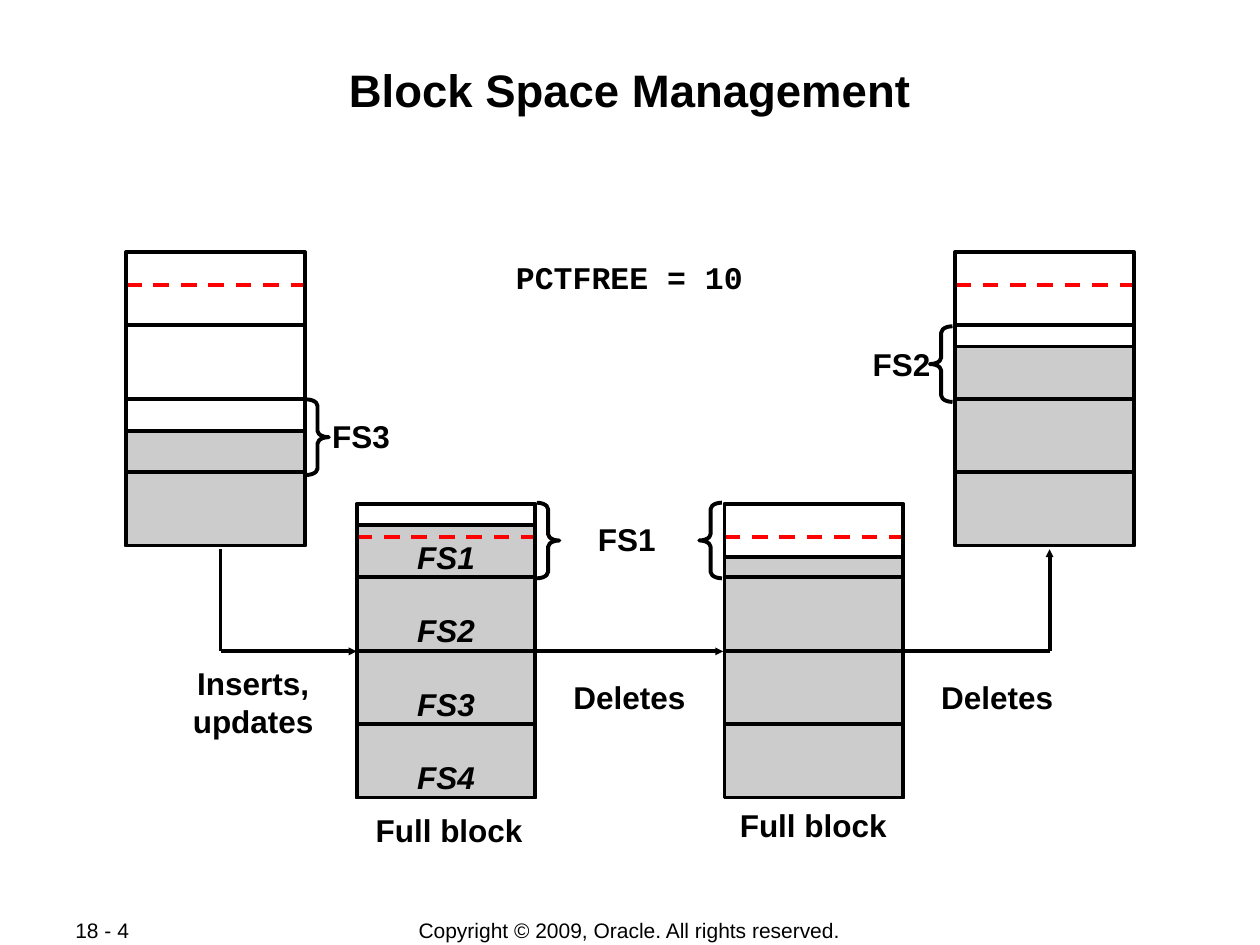
from dataclasses import dataclass

from lxml import etree
from pptx import Presentation
from pptx.dml.color import RGBColor
from pptx.enum.dml import MSO_LINE_DASH_STYLE as DASH
from pptx.enum.shapes import MSO_CONNECTOR as CONNECTOR, MSO_SHAPE as SHAPE
from pptx.enum.text import MSO_ANCHOR as ANCHOR, MSO_AUTO_SIZE as AUTO_SIZE, PP_ALIGN as ALIGN
from pptx.oxml.ns import qn
from pptx.util import Inches, Pt


@dataclass(frozen=True)
class Theme:
    ink: RGBColor = RGBColor(0x00, 0x00, 0x00)
    used: RGBColor = RGBColor(0xCC, 0xCC, 0xCC)
    limit: RGBColor = RGBColor(0xFF, 0x00, 0x00)
    font: str = "Arial"
    code_font: str = "Courier New"
    title_size: int = 26
    label_size: int = 18
    footer_size: int = 12
    line_width: float = 2.25


THEME = Theme()

BLOCK_W, BLOCK_H = 1.42, 2.33
BANDS = 4
BAND_H = BLOCK_H / BANDS
LIMIT_DROP = 0.26  # distance of the PCTFREE line below the block top
BRACE_W, BRACE_H = 0.18, 0.6
LABEL_H = 0.4
FLOW_Y = 5.17

# left, top, top of the used space
BLOCKS = [(1, 2, 3.42), (2.83, 4, 4.17), (5.75, 4, 4.42), (7.58, 2, 2.75)]

# x1, y1, x2, y2, arrowhead
FLOWS = [
    (1.75, 4.36, 1.75, FLOW_Y, False),
    (1.75, FLOW_Y, 2.83, FLOW_Y, True),
    (4.24, FLOW_Y, 5.74, FLOW_Y, True),
    (7.08, FLOW_Y, 8.33, FLOW_Y, False),
    (8.33, FLOW_Y, 8.33, 4.36, True),
]

BRACES = [
    (SHAPE.RIGHT_BRACE, 2.43, 3.17),
    (SHAPE.RIGHT_BRACE, 4.26, 3.99),
    (SHAPE.LEFT_BRACE, 5.55, 3.99),
    (SHAPE.LEFT_BRACE, 7.38, 2.59),
]

# text, left, top, width
LABELS = [
    ("Deletes", 4.33, 5.33, 1.33),
    ("Deletes", 7.25, 5.33, 1.33),
    ("Full block", 2.76, 6.39, 1.61),
    ("Full block", 5.65, 6.35, 1.61),
    ("FS3", 2.49, 3.26, 0.75),
    ("FS1", 4.6, 4.08, 0.75),
    ("FS2", 6.78, 2.69, 0.75),
]


def add_text(s, text, left, top, width, height=LABEL_H, size=THEME.label_size,
             font=THEME.font, bold=True, italic=False, align=ALIGN.CENTER,
             anchor=ANCHOR.TOP, wrap=True, grow=True):
    box = s.shapes.add_textbox(Inches(left), Inches(top), Inches(width), Inches(height))
    tf = box.text_frame
    tf.word_wrap = wrap
    tf.vertical_anchor = anchor
    tf.auto_size = AUTO_SIZE.SHAPE_TO_FIT_TEXT if grow else AUTO_SIZE.NONE
    tf.text = text
    for p in tf.paragraphs:
        p.alignment = align
        for r in p.runs:
            r.font.name = font
            r.font.size = Pt(size)
            r.font.bold = bold
            r.font.italic = italic
            r.font.color.rgb = THEME.ink
    return tf


def add_outlined(s, kind, left, top, width, height, fill=None):
    sp = s.shapes.add_shape(kind, Inches(left), Inches(top), Inches(width), Inches(height))
    sp.shadow.inherit = False
    if fill is None:
        sp.fill.background()
    else:
        sp.fill.solid()
        sp.fill.fore_color.rgb = fill
    sp.line.color.rgb = THEME.ink
    sp.line.width = Pt(THEME.line_width)
    return sp


def add_line(s, x1, y1, x2, y2, arrow=False, color=THEME.ink, dash=None):
    line = s.shapes.add_connector(CONNECTOR.STRAIGHT, Inches(x1), Inches(y1),
                                  Inches(x2), Inches(y2))
    line.line.color.rgb = color
    line.line.width = Pt(THEME.line_width)
    if dash is not None:
        line.line.dash_style = dash
    if arrow:
        etree.SubElement(line.line._get_or_add_ln(), qn("a:tailEnd"),
                         type="triangle", w="sm", len="sm")
    etree.SubElement(line._element.spPr, qn("a:effectLst"))


def add_block(s, left, top, used_top):
    add_outlined(s, SHAPE.RECTANGLE, left, used_top, BLOCK_W,
                 top + BLOCK_H - used_top, THEME.used)
    add_line(s, left, top + LIMIT_DROP, left + BLOCK_W, top + LIMIT_DROP,
             color=THEME.limit, dash=DASH.DASH)
    for i in range(BANDS):
        add_outlined(s, SHAPE.RECTANGLE, left, top + i * BAND_H, BLOCK_W, BAND_H)


def add_brace(s, kind, left, top):
    brace = add_outlined(s, kind, left, top, BRACE_W, BRACE_H)
    brace.adjustments[0] = 0.28


def main():
    prs = Presentation()
    prs.slide_width, prs.slide_height = Inches(10), Inches(7.5)
    s = prs.slides.add_slide(prs.slide_layouts[6])

    # Footer
    footer = dict(size=THEME.footer_size, bold=False, anchor=ANCHOR.MIDDLE, grow=False)
    add_text(s, "Copyright © 2009, Oracle. All rights reserved.", 2.75, 7.28, 4.49, 0.21, **footer)
    add_text(s, "18 - 4", 0.5, 7.28, 1.06, 0.2, align=ALIGN.LEFT, **footer)

    # Title and setting
    title = add_text(s, "Block Space Management", 0.67, 0.48, 8.66, 0.96,
                     size=THEME.title_size, grow=False)
    title.margin_left = title.margin_right = Inches(0.01)
    title.margin_top = title.margin_bottom = Inches(0.01)
    add_text(s, "PCTFREE = 10", 3.83, 2, 2.33, font=THEME.code_font)

    # Flow between the blocks, then the blocks over it
    for flow in FLOWS:
        add_line(s, *flow)
    for block in BLOCKS:
        add_block(s, *block)

    # Braces and labels
    for brace in BRACES:
        add_brace(s, *brace)
    for label in LABELS:
        add_text(s, *label)
    add_text(s, "Inserts,\vupdates", 1.43, 5.22, 1.16, 0.7, wrap=False)

    # Band names in the first full block
    for i in range(BANDS):
        add_text(s, f"FS{i + 1}", 3.21, 4.22 + i * BAND_H, 0.66, italic=True, wrap=False)

    prs.save("out.pptx")


if __name__ == "__main__":
    main()
